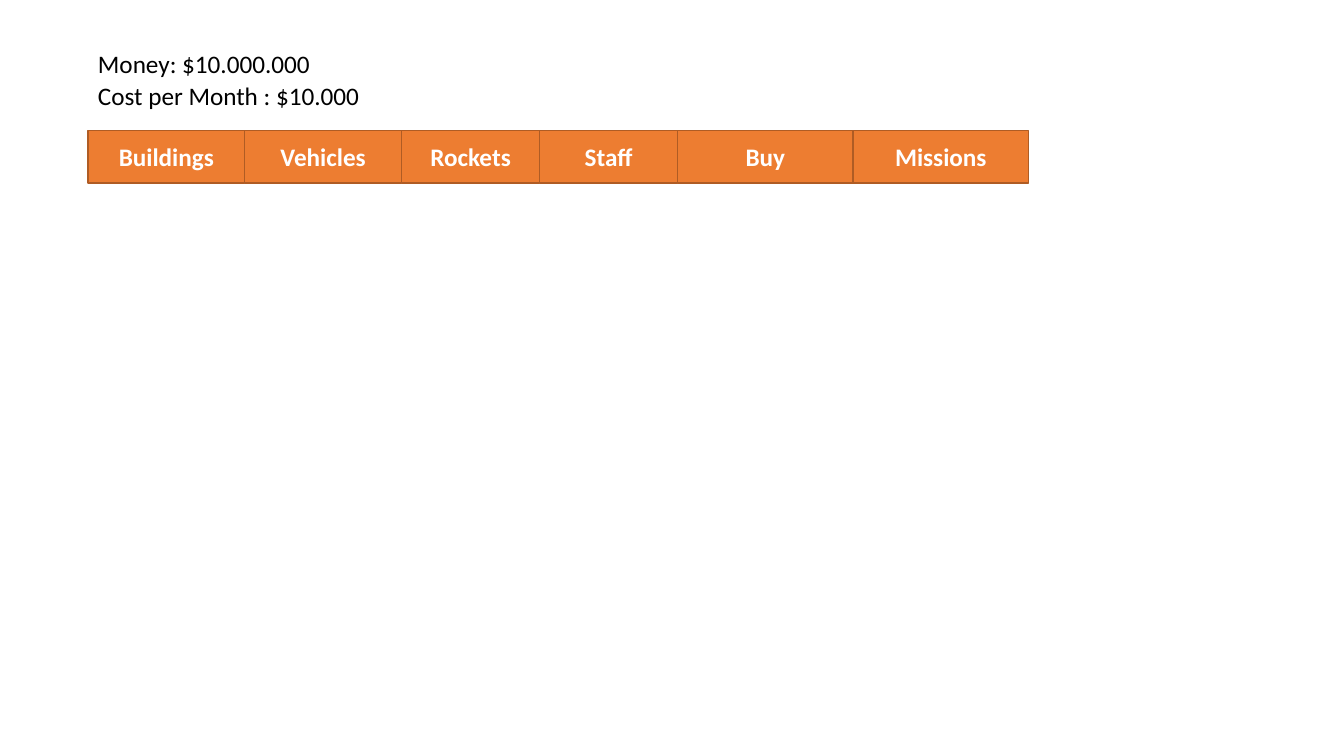
from pptx import Presentation
from pptx.dml.color import RGBColor
from pptx.enum.shapes import MSO_SHAPE
from pptx.enum.text import MSO_ANCHOR, MSO_AUTO_SIZE, PP_ALIGN
from pptx.util import Cm, Pt

RECT = MSO_SHAPE.RECTANGLE
MIDDLE = MSO_ANCHOR.MIDDLE
GROW = MSO_AUTO_SIZE.SHAPE_TO_FIT_TEXT
LEFT, CENTER = PP_ALIGN.LEFT, PP_ALIGN.CENTER

STATUS = [("Money: $10.000.000", 5.92), ("Cost per Month : $10.000", 7.34)]
TABS = [("Buildings", 3.95), ("Vehicles", 3.95), ("Rockets", 3.48),
        ("Staff", 3.48), ("Buy", 4.42), ("Missions", 4.42)]


def color(value):
    return RGBColor.from_string(value)


def write(tf, text, size=18, fill="000000", bold=False, align=LEFT):
    p = tf.paragraphs[0]
    p.alignment = align
    r = p.add_run()
    r.text = text
    r.font.name = "Calibri"
    r.font.size = Pt(size)
    r.font.bold = bold
    r.font.color.rgb = color(fill)


def add_tabs(s, left, top, height):
    for label, width in TABS:
        sp = s.shapes.add_shape(RECT, Cm(left), Cm(top), Cm(width), Cm(height))
        sp.shadow.inherit = False
        sp.fill.solid()
        sp.fill.fore_color.rgb = color("ED7D31")
        sp.line.color.rgb = color("AF5C24")
        sp.line.width = Pt(1)
        sp.text_frame.vertical_anchor = MIDDLE
        write(sp.text_frame, label, fill="FFFFFF", bold=True, align=CENTER)
        left += width


def add_status(s, left, top, pitch):
    for i, (text, width) in enumerate(STATUS):
        sp = s.shapes.add_textbox(Cm(left), Cm(top + i * pitch), Cm(width), Cm(1.02))
        tf = sp.text_frame
        tf.word_wrap = False
        tf.auto_size = GROW
        write(tf, text)


def main():
    prs = Presentation()
    prs.slide_width, prs.slide_height = Cm(33.87), Cm(19.05)
    s = prs.slides.add_slide(prs.slide_layouts[6])
    add_tabs(s, 2.22, 3.29, 1.32)
    add_status(s, 2.22, 1.09, 0.8)
    prs.save("out.pptx")


if __name__ == "__main__":
    main()
